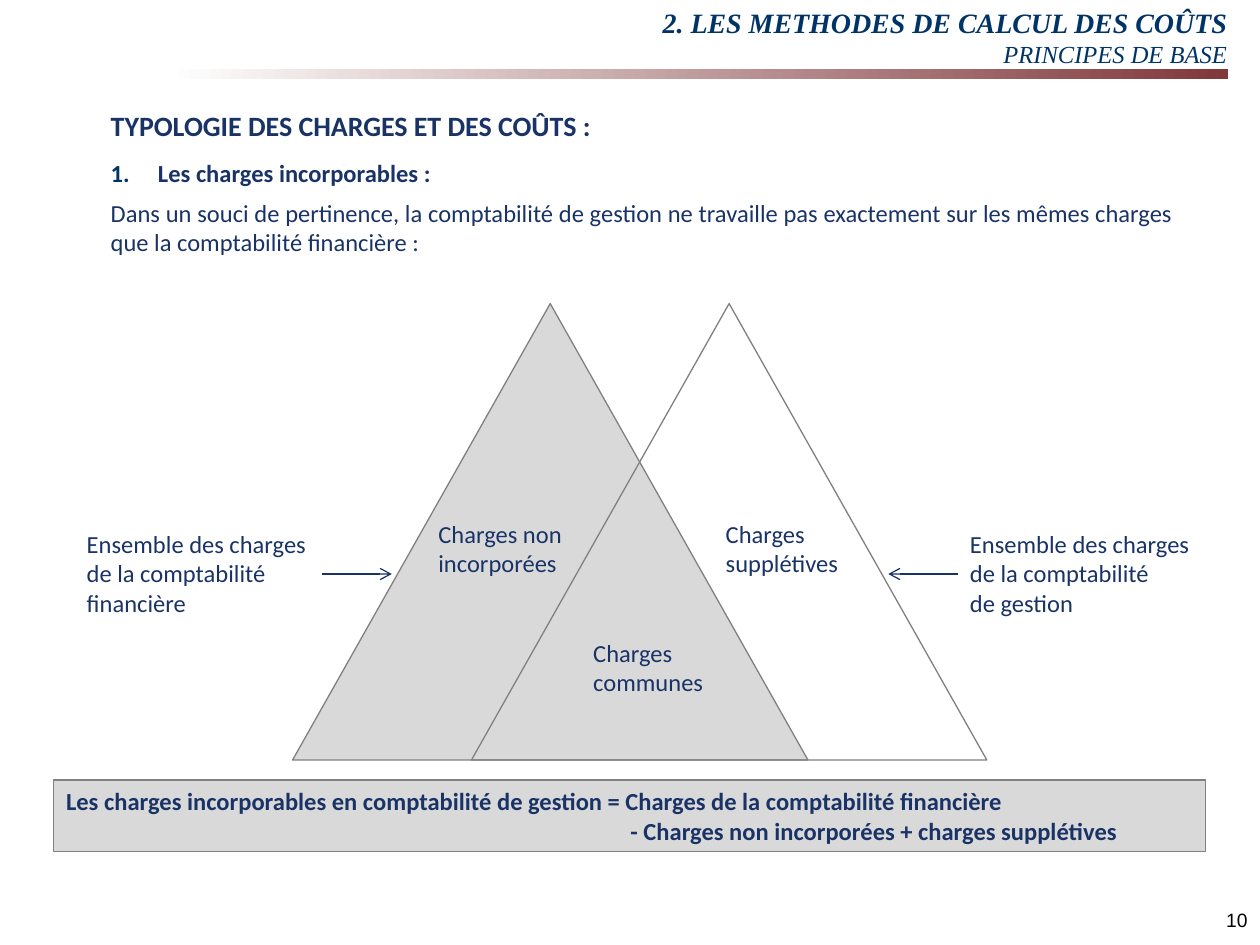
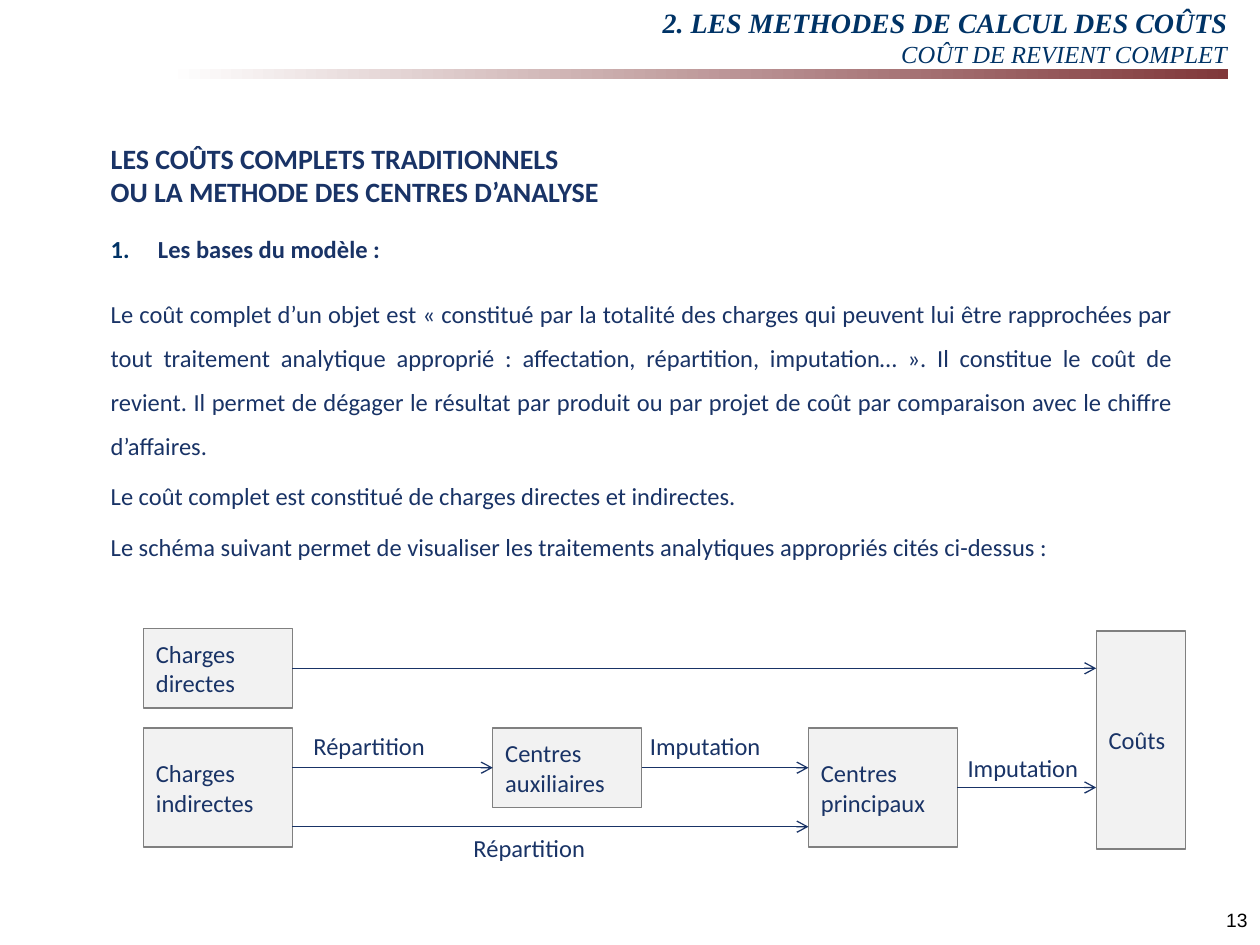
from dataclasses import dataclass
from typing import NamedTuple

from lxml import etree
from pptx import Presentation
from pptx.dml import color as dml
from pptx.enum import shapes, text
from pptx.oxml import ns
from pptx.util import Pt

NAVY = "193366"
TITLE_BLUE = "003366"
GREY_LINE = "808080"
GREY_FILL = "D9D9D9"
PALE_FILL = "F2F2F2"
BAND_RED = "80383A"
WHITE = "FFFFFF"
BLACK = "000000"

BODY_FONT = "Calibri"
TITLE_FONT = "Times New Roman"
NUMBER_FONT = "Arial"
HANGING = 27
LEFT, RIGHT, JUSTIFY = text.PP_ALIGN.LEFT, text.PP_ALIGN.RIGHT, text.PP_ALIGN.JUSTIFY


@dataclass(frozen=True)
class Line:
    words: str
    size: float = 14
    bold: bool = False
    align: text.PP_ALIGN = LEFT
    before: float = 0
    after: float = 0
    spacing: float = 1
    indent: float = 0
    numbered: bool = False
    font: str = BODY_FONT
    color: str = NAVY


@dataclass(frozen=True)
class Box:
    words: str
    left: float
    top: float
    width: float
    height: float

    @property
    def right(self) -> float:
        return self.left + self.width

    @property
    def middle(self) -> float:
        return self.top + self.height / 2


class Flow(NamedTuple):
    source: Box
    target: Box
    y: float


def rgb(value: str) -> dml.RGBColor:
    return dml.RGBColor.from_string(value)


def format_font(font, name: str, size: float, color: str, bold=False, italic=False) -> None:
    font.name = name
    font.size = Pt(size)
    font.bold = bold
    font.italic = italic
    font.color.rgb = rgb(color)


def add_number(paragraph) -> None:
    properties = paragraph._p.get_or_add_pPr()
    properties.set("marL", str(Pt(HANGING)))
    properties.set("indent", str(-Pt(HANGING)))
    bullet_color = etree.Element(ns.qn("a:buClr"))
    etree.SubElement(bullet_color, ns.qn("a:srgbClr"), val=TITLE_BLUE)
    bullet = etree.Element(ns.qn("a:buAutoNum"), type="arabicPeriod")
    default_font = properties.find(ns.qn("a:defRPr"))
    default_font.addprevious(bullet_color)
    default_font.addprevious(bullet)


def write(shape, lines: list[Line], wrap: bool = True, anchor=text.MSO_ANCHOR.TOP) -> None:
    frame = shape.text_frame
    frame.word_wrap = wrap
    frame.vertical_anchor = anchor
    for index, line in enumerate(lines):
        paragraph = frame.add_paragraph() if index else frame.paragraphs[0]
        paragraph.text = line.words
        paragraph.alignment = line.align
        paragraph.line_spacing = line.spacing
        paragraph.space_before = Pt(line.before)
        paragraph.space_after = Pt(line.after)
        format_font(paragraph.font, line.font, line.size, line.color, line.bold)
        if line.indent:
            paragraph._p.get_or_add_pPr().set("marL", str(Pt(line.indent)))
        if line.numbered:
            add_number(paragraph)


def plain_lines(words: str) -> list[Line]:
    return [Line(part) for part in words.split("\n")]


def add_text(slide, box: Box, lines: list[Line], wrap: bool = True) -> None:
    shape = slide.shapes.add_textbox(Pt(box.left), Pt(box.top), Pt(box.width), Pt(box.height))
    write(shape, lines, wrap)


def add_label(slide, box: Box) -> None:
    add_text(slide, box, plain_lines(box.words), wrap=False)


def add_outline(slide, kind, box: Box, fill: str | None):
    shape = slide.shapes.add_shape(kind, Pt(box.left), Pt(box.top), Pt(box.width), Pt(box.height))
    shape.shadow.inherit = False
    if fill:
        shape.fill.solid()
        shape.fill.fore_color.rgb = rgb(fill)
    else:
        shape.fill.background()
    shape.line.color.rgb = rgb(GREY_LINE)
    shape.line.width = Pt(0.75)
    return shape


def add_arrow(slide, start: float, end: float, y: float):
    arrow = slide.shapes.add_connector(
        shapes.MSO_CONNECTOR.STRAIGHT, Pt(start), Pt(y), Pt(end), Pt(y)
    )
    arrow.line.color.rgb = rgb(NAVY)
    arrow.line.width = Pt(0.75)
    etree.SubElement(arrow.line._get_or_add_ln(), ns.qn("a:tailEnd"), type="arrow")
    etree.SubElement(arrow._element.spPr, ns.qn("a:effectLst"))
    return arrow


def add_band(slide) -> None:
    band = slide.shapes.add_shape(
        shapes.MSO_SHAPE.RECTANGLE, Pt(95.8), Pt(39.6), Pt(606.2), Pt(5.8)
    )
    band.shadow.inherit = False
    band.line.fill.background()
    band.fill.gradient()
    band.fill.gradient_angle = 0
    for stop, color in zip(band.fill.gradient_stops, (WHITE, BAND_RED)):
        stop.color.rgb = rgb(color)


def add_titled_slide(presentation, subtitle: str, number: int):
    slide = presentation.slides.add_slide(presentation.slide_layouts[5])
    title = slide.shapes.title
    title.left, title.top, title.width, title.height = Pt(56.2), Pt(-5.8), Pt(652.3), Pt(54)
    frame = title.text_frame
    frame.auto_size = text.MSO_AUTO_SIZE.NONE
    frame.vertical_anchor = text.MSO_ANCHOR.MIDDLE
    paragraph = frame.paragraphs[0]
    paragraph.alignment = RIGHT
    chapter = paragraph.add_run()
    chapter.text = "2. LES METHODES DE CALCUL DES COÛTS"
    format_font(chapter.font, TITLE_FONT, 16, TITLE_BLUE, bold=True, italic=True)
    paragraph.add_line_break()
    section = paragraph.add_run()
    section.text = subtitle
    format_font(section.font, TITLE_FONT, 14, TITLE_BLUE, italic=True)
    add_band(slide)
    page = Line(str(number), size=11, align=RIGHT, font=NUMBER_FONT, color=BLACK)
    add_text(slide, Box("", 570.2, 515.5, 149.8, 36), [page])
    return slide


def build_charges_slide(presentation) -> None:
    slide = add_titled_slide(presentation, "PRINCIPES DE BASE", 10)
    add_text(slide, Box("", 56.2, 49, 621.4, 345.6), [
        Line("TYPOLOGIE DES CHARGES ET DES COÛTS :", size=16, bold=True, spacing=1.5, after=6),
        Line("Les charges incorporables :", bold=True, before=3, after=3, numbered=True),
        Line("Dans un souci de pertinence, la comptabilité de gestion ne travaille pas exactement "
             "sur les mêmes charges que la comptabilité financière :", align=JUSTIFY, before=2.8),
    ])

    equation = add_outline(
        slide, shapes.MSO_SHAPE.RECTANGLE, Box("", 30.7, 445.7, 658.1, 41), GREY_FILL
    )
    write(equation, [
        Line("Les charges incorporables en comptabilité de gestion = "
             "Charges de la comptabilité financière", bold=True),
        Line("- Charges non incorporées + charges supplétives", bold=True, indent=322.5),
    ])

    for left, fill in ((167.2, GREY_FILL), (269.4, None)):
        triangle = Box("", left, 173.5, 294.5, 260.8)
        add_outline(slide, shapes.MSO_SHAPE.ISOSCELES_TRIANGLE, triangle, fill)

    for label in (
        Box("Charges\ncommunes", 331.9, 360.8, 86, 45.4),
        Box("Charges\nsupplétives", 407.6, 292.8, 90, 45.4),
        Box("Charges non\nincorporées", 243.4, 292.8, 98, 45.4),
        Box("Ensemble des charges\nde la comptabilité\nde gestion", 547.2, 298.8, 158.4, 61.9),
        Box("Ensemble des charges\nde la comptabilité\nfinancière", 42.5, 298.8, 158.4, 61.9),
    ):
        add_label(slide, label)

    for start, end in ((547.2, 507.6), (184.3, 223.9)):
        add_arrow(slide, start, end, 328)


def build_full_cost_slide(presentation) -> None:
    slide = add_titled_slide(presentation, "COÛT DE REVIENT COMPLET", 13)
    add_text(slide, Box("", 56.2, 77.2, 621.4, 345.6), [
        Line("LES COÛTS COMPLETS TRADITIONNELS", size=16, bold=True),
        Line("OU LA METHODE DES CENTRES D’ANALYSE", size=16, bold=True),
        Line("Les bases du modèle :", bold=True, align=JUSTIFY, before=6, after=6,
             spacing=1.5, numbered=True),
        Line("Le coût complet d’un objet est « constitué par la totalité des charges qui peuvent "
             "lui être rapprochées par tout traitement analytique approprié : affectation, "
             "répartition, imputation… ». Il constitue le coût de revient. Il permet de dégager "
             "le résultat par produit ou par projet de coût par comparaison avec le chiffre "
             "d’affaires.", align=JUSTIFY, before=6, after=6, spacing=1.5),
        Line("Le coût complet est constitué de charges directes et indirectes.",
             before=6, after=6),
        Line("Le schéma suivant permet de visualiser les traitements analytiques appropriés "
             "cités ci-dessus :", before=6, after=6),
    ])

    direct = Box("Charges\ndirectes", 82, 359.2, 85, 45.4)
    indirect = Box("Charges\nindirectes", 82, 416, 85, 68)
    auxiliary = Box("Centres\nauxiliaires", 281.6, 416, 85, 45.4)
    main_centres = Box("Centres\nprincipaux", 462, 416, 85, 68)
    costs = Box("Coûts", 626.4, 360.6, 51, 124.6)
    drawn = {}
    for box in (direct, indirect, auxiliary, main_centres, costs):
        shape = add_outline(slide, shapes.MSO_SHAPE.RECTANGLE, box, PALE_FILL)
        write(shape, plain_lines(box.words), wrap=False, anchor=text.MSO_ANCHOR.MIDDLE)
        drawn[box] = shape

    for flow in (
        Flow(direct, costs, direct.middle),
        Flow(indirect, main_centres, 472.4),
        Flow(indirect, auxiliary, auxiliary.middle),
        Flow(auxiliary, main_centres, auxiliary.middle),
        Flow(main_centres, costs, main_centres.middle),
    ):
        arrow = add_arrow(slide, flow.source.right, flow.target.left, flow.y)
        if flow.y == flow.source.middle:
            arrow.begin_connect(drawn[flow.source], 3)
        if flow.y == flow.target.middle:
            arrow.end_connect(drawn[flow.target], 1)

    for words, left, top in (
        ("Répartition", 263.5, 472.4),
        ("Répartition", 172, 414),
        ("Imputation", 364.3, 414),
        ("Imputation", 545.8, 427),
    ):
        add_text(slide, Box(words, left, top, 103, 24.5), plain_lines(words))


def main() -> None:
    presentation = Presentation()
    presentation.slide_width = Pt(720)
    presentation.slide_height = Pt(540)
    build_charges_slide(presentation)
    build_full_cost_slide(presentation)
    presentation.save("out.pptx")


if __name__ == "__main__":
    main()
